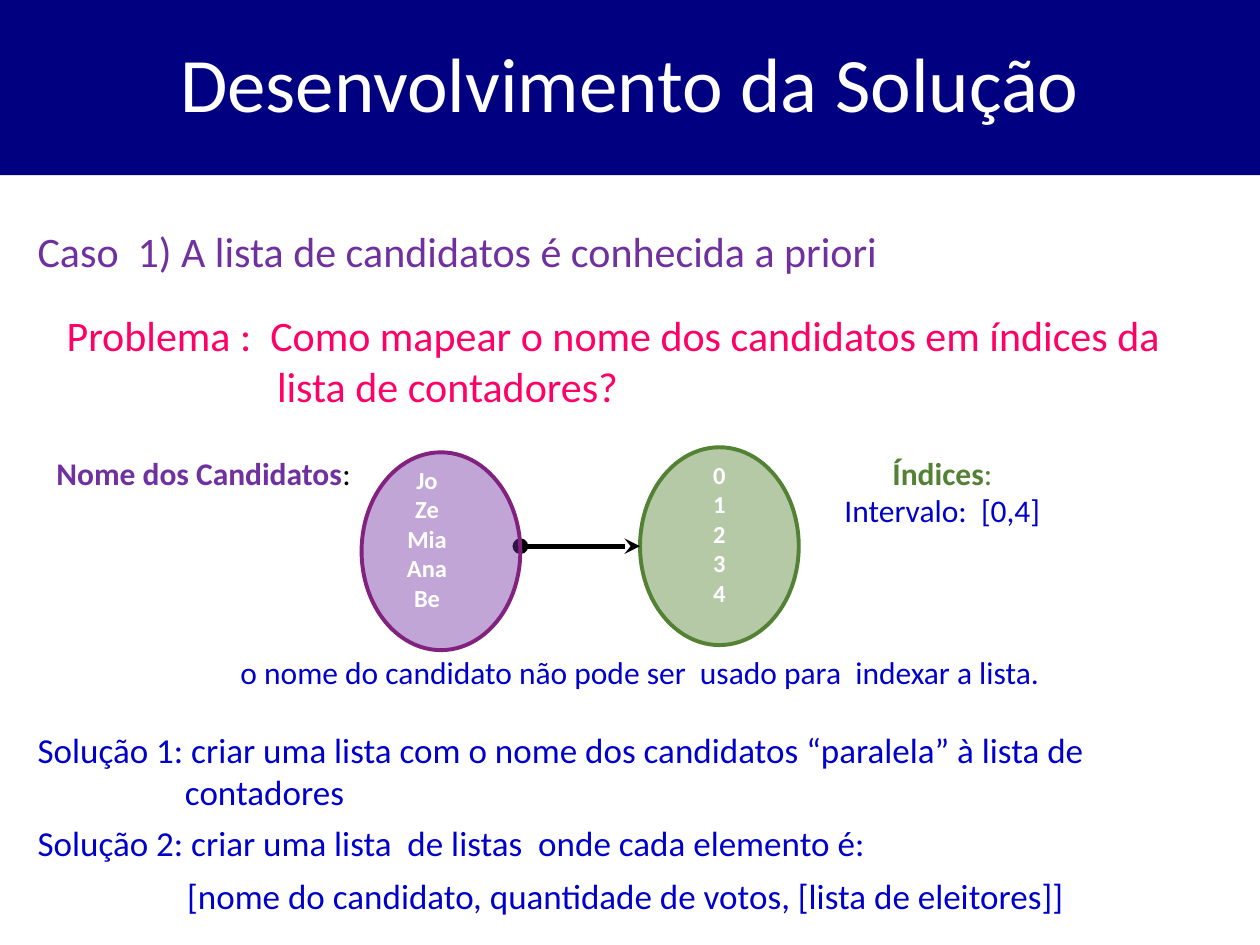
import pptx
import pptx.dml.color
import pptx.enum.shapes
import pptx.enum.text
import pptx.util
from lxml import etree
from pptx.oxml.ns import qn

W, H = 10, 7.5
NAVY, BLUE, PURPLE, PINK, GREEN = "000080", "0000CC", "7030A0", "FF0066", "548235"
CENTER = pptx.enum.text.PP_ALIGN.CENTER
MIDDLE = pptx.enum.text.MSO_ANCHOR.MIDDLE
SHAPE = pptx.enum.shapes.MSO_SHAPE
inch = pptx.util.Inches


def color(value):
    return pptx.dml.color.RGBColor.from_string(value)


def set_all(obj, values):
    for name, value in values.items():
        setattr(obj, name, value)


def add_run(p, text, size, fill, bold=False):
    r = p.add_run()
    r.text = text
    set_all(r.font, {"name": "Calibri", "size": pptx.util.Pt(size), "bold": bold})
    r.font.color.rgb = color(fill)


def fill_text(sp, paragraphs, frame=None, hang=0, **fmt):
    """Write paragraphs, each a list of (text, size, colour[, bold]) runs."""
    tf = sp.text_frame
    set_all(tf, {"word_wrap": True, "vertical_anchor": MIDDLE, **(frame or {})})
    for i, runs in enumerate(paragraphs):
        p = tf.add_paragraph() if i else tf.paragraphs[0]
        set_all(p, fmt)
        if hang:
            pPr = p._p.get_or_add_pPr()
            pPr.set("marL", str(inch(hang)))
            pPr.set("indent", str(-inch(hang)))
        for run in runs:
            add_run(p, *run)
    return tf


def text_box(slide, box, paragraphs, **fmt):
    sp = slide.shapes.add_textbox(*map(inch, box))
    return fill_text(sp, paragraphs, **fmt)


def add_shape(slide, kind, box, fill):
    sp = slide.shapes.add_shape(kind, *map(inch, box))
    sp.shadow.inherit = False
    sp.fill.solid()
    sp.fill.fore_color.rgb = color(fill)
    return sp


def title_band(slide, box, text):
    sp = add_shape(slide, SHAPE.RECTANGLE, box, NAVY)
    sp.line.fill.background()
    fill_text(sp, [[(text, 44, "FFFFFF")]], alignment=CENTER, line_spacing=0.9)


def set_oval(slide, box, items, fill, outline):
    """Translucent ellipse listing the members of a set."""
    sp = add_shape(slide, SHAPE.OVAL, box, fill)
    solid = sp._element.spPr.find(qn("a:solidFill"))
    etree.SubElement(solid[0], qn("a:alpha"), val="43000")
    sp.line.color.rgb = color(outline)
    sp.line.width = pptx.util.Pt(2.25)
    frame = {"margin_left": 0, "margin_right": 0, "margin_top": 0, "margin_bottom": inch(0.2)}
    return fill_text(sp, [[(item, 14, "FFFFFF", True)] for item in items], frame, alignment=CENTER)


def arrow(slide, start, end):
    cn = slide.shapes.add_connector(
        pptx.enum.shapes.MSO_CONNECTOR.STRAIGHT, *map(inch, start + end))
    cn.line.color.rgb = color("000000")
    cn.line.width = pptx.util.Pt(3)
    ln = cn.line._get_or_add_ln()
    for tag, kind in (("a:headEnd", "oval"), ("a:tailEnd", "stealth")):
        etree.SubElement(ln, qn(tag), type=kind)
    etree.SubElement(cn._element.spPr, qn("a:effectLst"))


def mapping(slide, left, top):
    """Candidate names mapped to indices, with a label on each side."""
    w, h, gap = 1.26, 1.57, 0.95
    names_x = left + 2.52
    index_x = names_x + w + gap
    label = {"word_wrap": False, "vertical_anchor": pptx.enum.text.MSO_ANCHOR.TOP}
    text_box(slide, (left, top, 2.56, 0.71),
             [[("Nome dos Candidatos", 18, PURPLE, True), (":", 18, "000000")]], frame=label)
    text_box(slide, (index_x + w + 0.17, top, 1.94, 1.01),
             [[("Índices", 18, GREEN, True), (":", 18, GREEN)],
              [("Intervalo:  [0,4]", 18, BLUE)]], frame=label, alignment=CENTER)
    set_oval(slide, (index_x, top, w, h), "01234", GREEN, GREEN)
    middle = top + h / 2
    arrow(slide, (names_x + w, middle), (index_x, middle))
    tf = set_oval(slide, (names_x, top + 0.04, w, h),
                  ["Jo", "Ze", "Mia", "Ana", "Be"], PURPLE, "83217E")
    tf.paragraphs[0]._p.get_or_add_pPr().set("marR", str(inch(0.22)))


def statements(slide, left):
    before = pptx.util.Pt(6)
    text_box(slide, (left, 1.24, 9.29, 1.5),
             [[("Caso  1) A lista de candidatos é conhecida a priori", 24, PURPLE)]], hang=1.67)
    text_box(slide, (left + 0.23, 2.11, 9.29, 1.5),
             [[("Problema :  Como mapear o nome dos candidatos em índices da "
                "lista de contadores?", 24, PINK)]], hang=1.67)
    text_box(slide, (left + 0.39, 4.86, 8.98, 0.95),
             [[("o nome do candidato não pode ser  usado para  indexar a lista.", 18, BLUE)]],
             alignment=CENTER, space_before=before)
    text_box(slide, (left, 5.64, 9.53, 0.95),
             [[("Solução 1: criar uma lista com o nome dos candidatos “paralela” à lista de "
                "contadores", 20, BLUE)]], hang=1.17, space_before=before)
    tf = text_box(slide, (left, 6.42, 9.53, 0.95),
                  [[("Solução 2: criar uma lista  de listas  onde cada elemento é:", 20, BLUE)],
                   [("[nome do candidato, quantidade de votos, [lista de eleitores]]", 20, BLUE)]],
                  hang=1.17, space_before=before)
    tf.paragraphs[1].alignment = CENTER


def main():
    prs = pptx.Presentation()
    prs.slide_width, prs.slide_height = inch(W), inch(H)
    slide = prs.slides.add_slide(prs.slide_layouts[6])
    title_band(slide, (0, 0, W, 1.39), "Desenvolvimento da Solução")
    statements(slide, 0.2)
    mapping(slide, 0.35, 3.55)
    prs.save("out.pptx")


if __name__ == "__main__":
    main()
